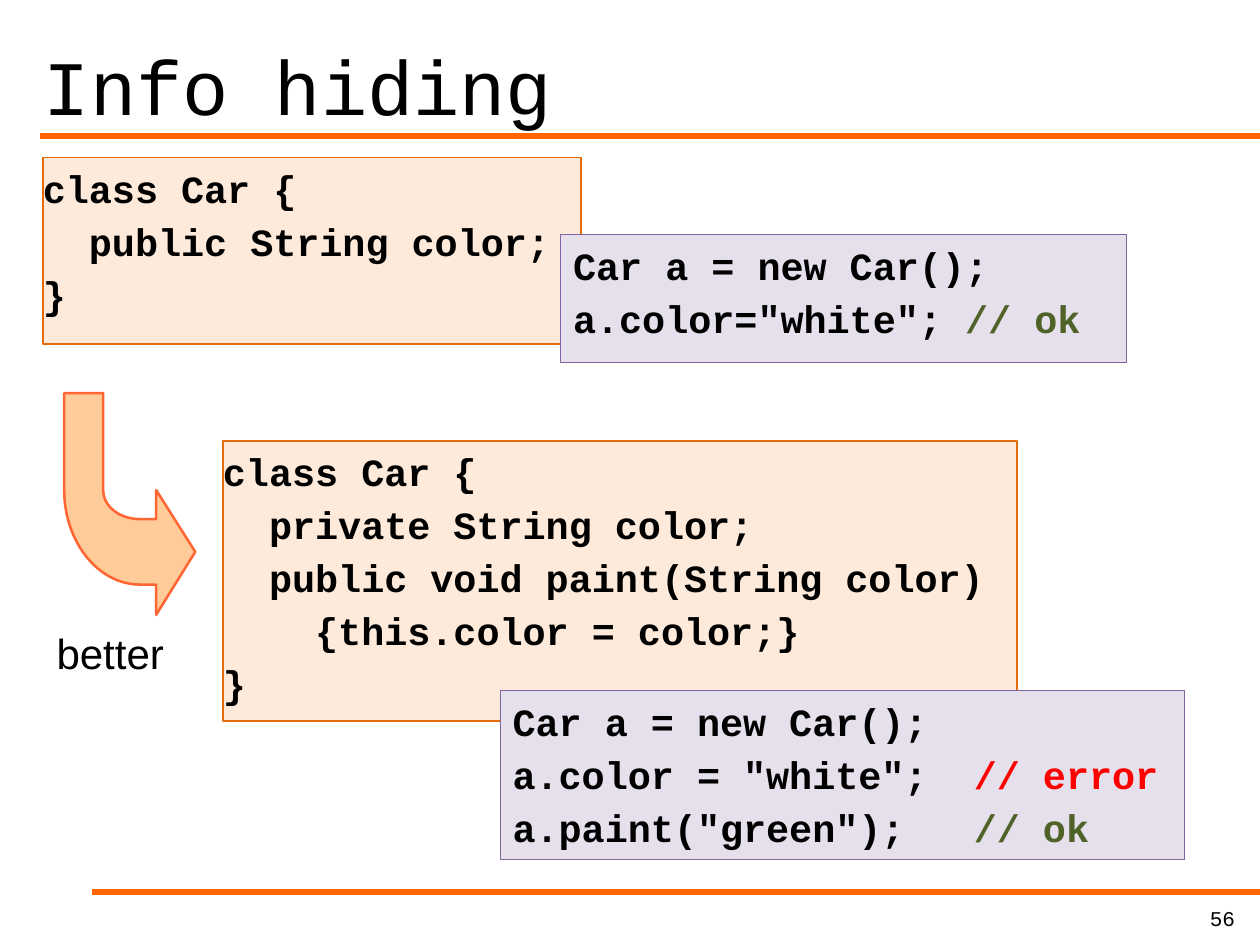
"""Builds the "Info hiding" slide with code before and after encapsulation."""
from dataclasses import dataclass

from lxml.etree import SubElement
from pptx import Presentation
from pptx.dml.color import RGBColor as Color
from pptx.enum.shapes import MSO_CONNECTOR as Connector, MSO_SHAPE as Shape
from pptx.enum.text import MSO_ANCHOR as Anchor, PP_ALIGN as Align
from pptx.oxml.ns import qn
from pptx.util import Inches, Pt


@dataclass(frozen=True)
class Theme:
    code_font: str = "Courier New"
    label_font: str = "Arial"
    title_size: float = 44
    label_size: float = 24
    code_size: float = 22
    number_size: float = 12
    text: str = "000000"
    rule: str = "FF6600"
    class_fill: str = "FDEADA"
    class_line: str = "E46C0A"
    usage_fill: str = "E6E0EC"
    usage_line: str = "8064A2"
    arrow_fill: str = "FFCC99"
    arrow_line: str = "FF6633"
    ok: str = "4F6228"
    error: str = "FF0000"


def bezier(start, first, second, end, steps=24):
    """Return points along a cubic curve, without its start."""
    points = []
    for step in range(1, steps + 1):
        t = step / steps
        weights = ((1 - t) ** 3, 3 * t * (1 - t) ** 2, 3 * t * t * (1 - t), t ** 3)
        corners = (start, first, second, end)
        points.append(tuple(sum(w * c[axis] for w, c in zip(weights, corners))
                            for axis in (0, 1)))
    return points


class SlideBuilder:
    """Holds the theme and the current slide."""

    def __init__(self, page, theme):
        self.page = page
        self.theme = theme

    def paint(self, shape, fill, line, weight):
        shape.shadow.inherit = False
        shape.fill.solid()
        shape.fill.fore_color.rgb = Color.from_string(fill)
        shape.line.color.rgb = Color.from_string(line)
        shape.line.width = Pt(weight)

    def style(self, para, font, size, bold=False):
        para.font.name = font
        para.font.size = Pt(size)
        para.font.bold = bold
        para.font.color.rgb = Color.from_string(self.theme.text)

    def rule(self, left, top):
        line = self.page.shapes.add_connector(
            Connector.STRAIGHT, Inches(10.02), Inches(top), Inches(left), Inches(top))
        line.line.color.rgb = Color.from_string(self.theme.rule)
        line.line.width = Pt(3)
        SubElement(line._element.spPr, qn("a:effectLst"))

    def label(self, text, place, font, size, align=Align.LEFT, anchor=Anchor.TOP, wrap=True):
        box = self.page.shapes.add_textbox(*map(Inches, place))
        frame = box.text_frame
        frame.word_wrap = wrap
        frame.vertical_anchor = anchor
        para = frame.paragraphs[0]
        para.text = text
        para.alignment = align
        self.style(para, font, size)

    def code(self, lines, place, fill, line, weight, inset):
        """Draw a code box; each line is a code string and an optional coloured comment."""
        box = self.page.shapes.add_shape(Shape.RECTANGLE, *map(Inches, place))
        self.paint(box, fill, line, weight)
        frame = box.text_frame
        frame.word_wrap = True
        frame.vertical_anchor = Anchor.TOP
        frame.margin_left = Inches(inset)
        frame.margin_top = Inches(0.1)
        for index, (source, *comment) in enumerate(lines):
            para = frame.add_paragraph() if index else frame.paragraphs[0]
            para.alignment = Align.LEFT
            para.line_spacing = 0.9
            para.space_before = Pt(6.5 if index else 0)
            self.style(para, self.theme.code_font, self.theme.code_size, bold=True)
            para.add_run().text = source
            if comment:
                span = para.add_run()
                span.text, color = comment
                span.font.color.rgb = Color.from_string(color)

    def class_code(self, lines, place):
        self.code([(line,) for line in lines], place,
                  self.theme.class_fill, self.theme.class_line, 1, 0)

    def usage_code(self, lines, place):
        self.code(lines, place, self.theme.usage_fill, self.theme.usage_line, 0.75, 0.1)

    def outline(self, points, fill, line, weight):
        start, *rest = [(Inches(x), Inches(y)) for x, y in points]
        builder = self.page.shapes.build_freeform(*start)
        builder.add_line_segments(rest, close=True)
        self.paint(builder.convert_to_shape(), fill, line, weight)


def main():
    deck = Presentation()
    deck.slide_width, deck.slide_height = Inches(10), Inches(7.5)
    theme = Theme()
    slide = SlideBuilder(deck.slides.add_slide(deck.slide_layouts[6]), theme)

    slide.rule(0.32, 1.08)
    slide.rule(0.73, 7.08)
    slide.label("56", (7.83, 7.14, 2.07, 0.3), theme.code_font, theme.number_size, Align.RIGHT)
    slide.class_code(["class Car {", "  public String color;", "}"], (0.34, 1.25, 4.27, 1.48))
    slide.class_code(["class Car {", "  private String color;",
                      "  public void paint(String color)",
                      "    {this.color = color;}", "}"], (1.77, 3.5, 6.3, 2.22))

    outer_bend = bezier((1.11, 4.64), (0.78, 4.64), (0.51, 4.3), (0.51, 3.89))
    inner_bend = bezier((0.82, 3.89), (0.82, 4.02), (0.95, 4.12), (1.11, 4.12))
    slide.outline([(1.55, 4.38), (1.24, 4.88), (1.24, 4.64), (1.11, 4.64), *outer_bend,
                   (0.51, 3.12), (0.82, 3.12), (0.82, 3.89), *inner_bend,
                   (1.24, 4.12), (1.24, 3.89)], theme.arrow_fill, theme.arrow_line, 1.45)
    slide.label("better", (0.35, 4.93, 1.05, 0.5), theme.label_font, theme.label_size, wrap=False)
    slide.label("Info hiding", (0.25, 0, 9.42, 1.09), theme.code_font, theme.title_size,
                anchor=Anchor.BOTTOM)

    slide.usage_code([("Car a = new Car();",),
                      ('a.color="white"; ', "// ok", theme.ok)], (4.45, 1.86, 4.49, 1.02))
    slide.usage_code([("Car a = new Car();",),
                      ('a.color = "white";  ', "// error", theme.error),
                      ('a.paint("green");   ', "// ok", theme.ok)], (3.97, 5.48, 5.43, 1.34))
    deck.save("out.pptx")


if __name__ == "__main__":
    main()
